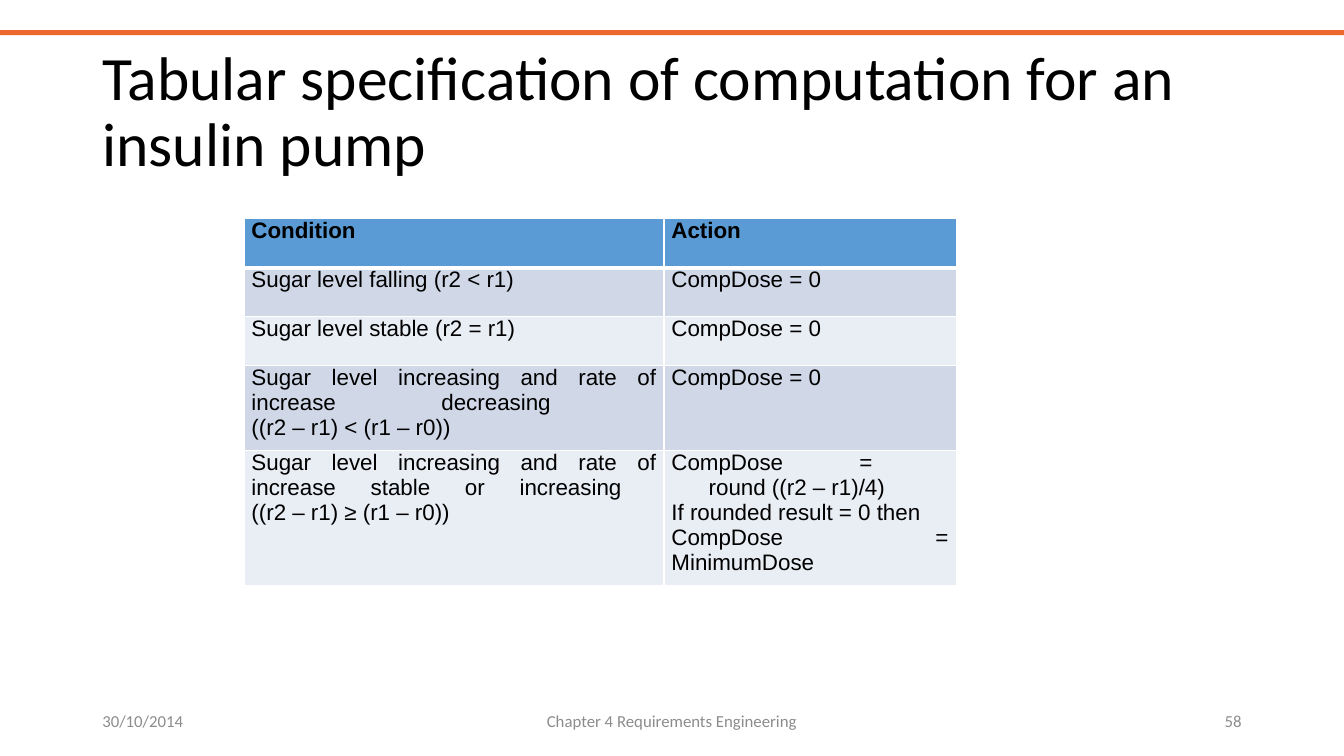
"""Build the insulin pump tabular specification slide."""
from lxml import etree
from pptx import Presentation
from pptx.dml.color import RGBColor
from pptx.enum.shapes import MSO_SHAPE
from pptx.enum.text import MSO_ANCHOR, PP_ALIGN
from pptx.oxml.ns import qn
from pptx.util import Pt

RECT = MSO_SHAPE.RECTANGLE
MIDDLE = MSO_ANCHOR.MIDDLE
LEFT, CENTER, RIGHT, JUSTIFY = PP_ALIGN.LEFT, PP_ALIGN.CENTER, PP_ALIGN.RIGHT, PP_ALIGN.JUSTIFY
BLACK = RGBColor(0x00, 0x00, 0x00)
WHITE = RGBColor(0xFF, 0xFF, 0xFF)
GREY = RGBColor(0x8C, 0x8C, 0x8C)
ORANGE = RGBColor(0xED, 0x68, 0x2F)
HEADER_BLUE = RGBColor(0x5B, 0x9B, 0xD5)
BAND_DARK = RGBColor(0xD0, 0xD8, 0xE8)
BAND_LIGHT = RGBColor(0xE9, 0xED, 0xF4)


def set_font(p, name, size, color, bold=False):
    p.font.name = name
    p.font.size = Pt(size)
    p.font.bold = bold
    p.font.color.rgb = color


def add_border(tc_pr, index, side, width):
    ln = etree.Element(qn(f"a:ln{side}"), w=str(Pt(width)))
    fill = etree.SubElement(ln, qn("a:solidFill"))
    etree.SubElement(fill, qn("a:srgbClr"), val=str(WHITE))
    tc_pr.insert(index, ln)


prs = Presentation()
prs.slide_width, prs.slide_height = Pt(960), Pt(540)
s = prs.slides.add_slide(prs.slide_layouts[5])

bar = s.shapes.add_shape(RECT, Pt(0), Pt(21.6), Pt(960), Pt(3.6))
bar.shadow.inherit = False
bar.fill.solid()
bar.fill.fore_color.rgb = ORANGE
bar.line.fill.background()

title = s.shapes.title
title.left, title.top, title.width, title.height = Pt(66), Pt(28.8), Pt(828), Pt(104.4)
tf = title.text_frame
tf.text = "Tabular specification of computation for an insulin pump"
tf.vertical_anchor = MIDDLE
p = tf.paragraphs[0]
p.alignment = LEFT
p.line_spacing = 0.9
set_font(p, "Calibri", 44, BLACK)

rows = [
    ("Condition", "Action"),
    ("Sugar level falling (r2 < r1)", "CompDose = 0"),
    ("Sugar level stable (r2 = r1)", "CompDose = 0"),
    ("Sugar level increasing and rate of increase decreasing \v((r2 – r1) < (r1 – r0))",
     "CompDose = 0"),
    ("Sugar level increasing and rate of increase stable or increasing \v((r2 – r1) ≥ (r1 – r0))",
     "CompDose = \v\tround ((r2 – r1)/4)\nIf rounded result = 0 then \nCompDose = MinimumDose"),
]
row_heights = [35, 35, 35, 60.5, 96.5]
col_widths = [300, 208.8]

table = s.shapes.add_table(len(rows), len(col_widths), Pt(174.24), Pt(156.24),
                           Pt(sum(col_widths)), Pt(sum(row_heights))).table
table.first_row = False
table.horz_banding = False
for column, width in zip(table.columns, col_widths):
    column.width = Pt(width)
for i, (row, height) in enumerate(zip(rows, row_heights)):
    table.rows[i].height = Pt(height)
    for j, text in enumerate(row):
        cell = table.cell(i, j)
        cell.margin_left = cell.margin_right = Pt(5.4)
        cell.margin_top, cell.margin_bottom = Pt(0), Pt(7.2)
        cell.fill.solid()
        cell.fill.fore_color.rgb = HEADER_BLUE if i == 0 else BAND_DARK if i % 2 else BAND_LIGHT
        tc_pr = cell.fill._xPr
        widths = {"L": 1, "R": 1, "T": 3 if i == 1 else 1, "B": 3 if i == 0 else 1}
        for index, (side, width) in enumerate(widths.items()):
            add_border(tc_pr, index, side, width)
        cell.text = text
        for p in cell.text_frame.paragraphs:
            p.alignment = JUSTIFY
            if "\t" in p.text:
                tabs = etree.SubElement(p._p.get_or_add_pPr(), qn("a:tabLst"))
                etree.SubElement(tabs, qn("a:tab"), pos=str(Pt(26.6)), algn="l")
            set_font(p, "Arial", 16, BLACK, bold=i == 0)

footers = [
    ("30/10/2014", 66, 216, LEFT),
    ("Chapter 4 Requirements Engineering", 318, 324, CENTER),
    ("58", 678, 216, RIGHT),
]
for text, left, width, align in footers:
    sp = s.shapes.add_textbox(Pt(left), Pt(500.5), Pt(width), Pt(28.8))
    tf = sp.text_frame
    tf.word_wrap = True
    tf.vertical_anchor = MIDDLE
    tf.text = text
    p = tf.paragraphs[0]
    p.alignment = align
    set_font(p, "Calibri", 12, GREY)

prs.save("out.pptx")
